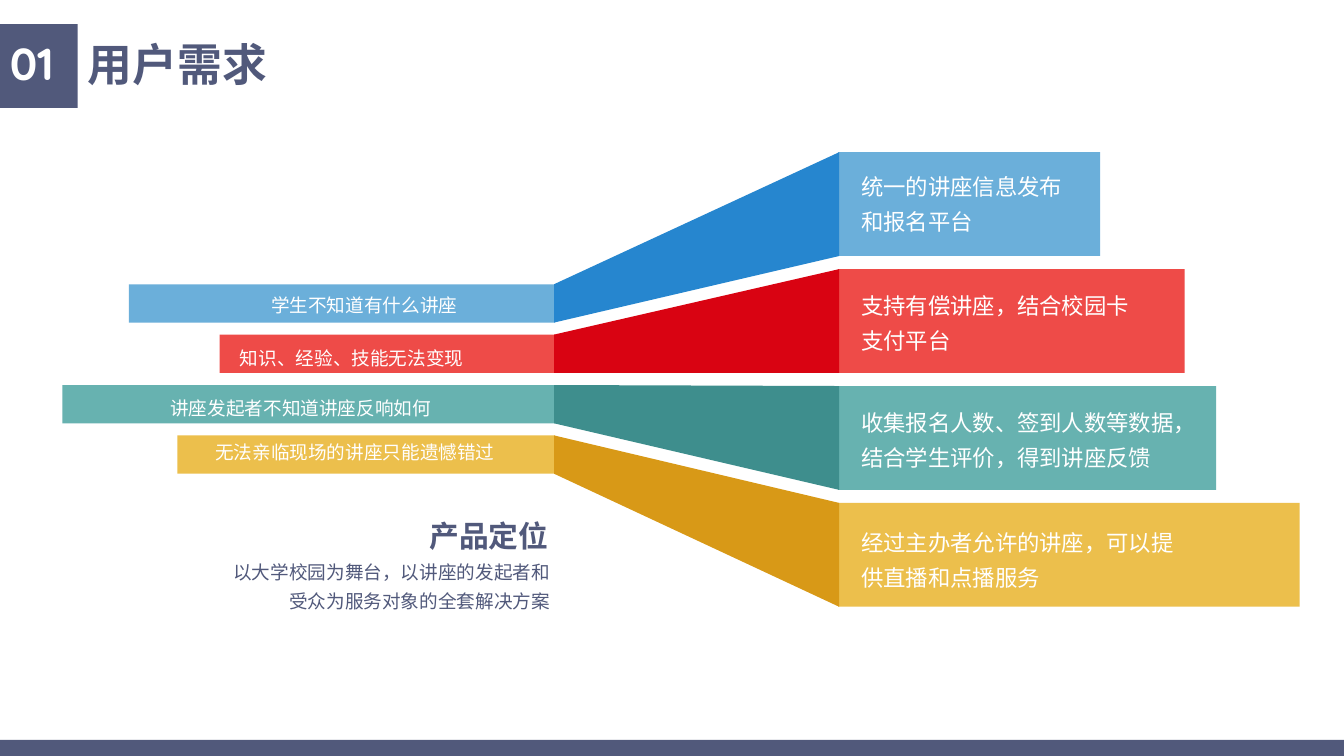
from dataclasses import dataclass

import pptx
import pptx.dml.color
import pptx.enum.shapes
import pptx.enum.text
import pptx.util

RGB = pptx.dml.color.RGBColor
ALIGN = pptx.enum.text.PP_ALIGN

PX = 9144  # EMU per px, 100 px to the inch
FONT = "Quicksand"
WHITE = RGB(0xFF, 0xFF, 0xFF)
NAVY = RGB(0x51, 0x59, 0x7B)
SKY, BLUE = RGB(0x6B, 0xAF, 0xDA), RGB(0x26, 0x86, 0xCF)
CORAL, RED = RGB(0xEE, 0x4B, 0x48), RGB(0xD9, 0x03, 0x12)
MINT, TEAL = RGB(0x67, 0xB2, 0xB0), RGB(0x3E, 0x8E, 0x8D)
YELLOW, AMBER = RGB(0xEC, 0xBF, 0x4C), RGB(0xD8, 0x99, 0x17)

SLIDE_W, SLIDE_H = 1334, 750
NEED_RIGHT, NEED_TOP, NEED_STEP, NEED_H = 551, 282, 50, 38
CARD_LEFT, CARD_TOP, CARD_STEP, CARD_H = 832, 151, 116, 103


@dataclass(frozen=True)
class Box:
    left: int
    top: int
    width: int
    height: int


@dataclass(frozen=True)
class Style:
    size: float
    color: RGB
    bold: bool = False
    align: ALIGN = ALIGN.LEFT
    spacing: float = 1.0
    wrap: bool = True


@dataclass(frozen=True)
class Band:
    """A user need, the card that answers it, and the beam between them."""
    need: str
    need_left: int
    need_text: Box
    answer: str
    card_width: int
    answer_text: Box
    light: RGB
    dark: RGB


HEADING = Style(32, WHITE, bold=True, spacing=0.9, wrap=False)
TITLE = Style(32, NAVY, bold=True, spacing=0.9, wrap=False)
NEED = Style(13.3, WHITE, align=ALIGN.RIGHT, wrap=False)
ANSWER = Style(16, WHITE, spacing=1.3)
POSITION_HEAD = Style(21.3, NAVY, bold=True, align=ALIGN.RIGHT)
POSITION_BODY = Style(13.3, NAVY, align=ALIGN.RIGHT, spacing=1.3)

BANDS = [
    Band("学生不知道有什么讲座", 128, Box(256, 287, 208, 33),
         "统一的讲座信息发布和报名平台", 260, Box(845, 159, 239, 80), SKY, BLUE),
    Band("知识、经验、技能无法变现", 218, Box(225, 339, 245, 33),
         "支持有偿讲座，结合校园卡支付平台", 344, Box(845, 277, 295, 77), CORAL, RED),
    Band("讲座发起者不知道讲座反响如何", 62, Box(155, 389, 283, 33),
         "收集报名人数、签到人数等数据，结合学生评价，得到讲座反馈", 375,
         Box(845, 393, 360, 80), MINT, TEAL),
    Band("无法亲临现场的讲座只能遗憾错过", 176, Box(199, 433, 302, 33),
         "经过主办者允许的讲座，可以提供直播和点播服务", 458,
         Box(845, 512, 330, 80), YELLOW, AMBER),
]


def place(sp, box: Box) -> None:
    sp.left, sp.top = box.left * PX, box.top * PX
    sp.width, sp.height = box.width * PX, box.height * PX


def paint(sp, color: RGB) -> None:
    sp.fill.solid()
    sp.fill.fore_color.rgb = color
    sp.line.fill.background()
    sp.shadow.inherit = False


def write(sp, text: str, style: Style) -> None:
    tf = sp.text_frame
    tf.text = text
    tf.word_wrap = style.wrap
    tf.auto_size = pptx.enum.text.MSO_AUTO_SIZE.SHAPE_TO_FIT_TEXT
    tf.vertical_anchor = pptx.enum.text.MSO_ANCHOR.TOP
    p = tf.paragraphs[0]
    p.alignment = style.align
    p.line_spacing = style.spacing
    p.font.name = FONT
    p.font.size = pptx.util.Pt(style.size)
    p.font.bold = style.bold
    p.font.color.rgb = style.color


def add_rect(s, box: Box, color: RGB) -> None:
    sp = s.shapes.add_shape(pptx.enum.shapes.MSO_SHAPE.RECTANGLE, 0, 0, 0, 0)
    place(sp, box)
    paint(sp, color)


def add_text(s, box: Box, text: str, style: Style) -> None:
    sp = s.shapes.add_textbox(0, 0, 0, 0)
    place(sp, box)
    write(sp, text, style)


def add_beam(s, need_top: int, card_top: int, color: RGB) -> None:
    """Join the right end of a need bar to the left edge of its card."""
    left, right = NEED_RIGHT - 1, CARD_LEFT + 1
    builder = s.shapes.build_freeform(left, need_top, scale=PX)
    builder.add_line_segments([(right, card_top), (right, card_top + CARD_H),
                               (left, need_top + NEED_H)], close=True)
    paint(builder.convert_to_shape(), color)


def add_band(s, i: int, band: Band) -> None:
    need_top = NEED_TOP + i * NEED_STEP
    card_top = CARD_TOP + i * CARD_STEP
    add_rect(s, Box(band.need_left, need_top, NEED_RIGHT - band.need_left, NEED_H), band.light)
    add_rect(s, Box(CARD_LEFT, card_top, band.card_width, CARD_H), band.light)
    add_beam(s, need_top, card_top, band.dark)
    add_text(s, band.need_text, band.need, NEED)
    add_text(s, band.answer_text, band.answer, ANSWER)


def main() -> None:
    prs = pptx.Presentation()
    prs.slide_width, prs.slide_height = SLIDE_W * PX, SLIDE_H * PX
    s = prs.slides.add_slide(prs.slide_layouts.get_by_name("Title Only"))

    place(s.shapes.title, Box(77, 37, 200, 59))
    write(s.shapes.title, "用户需求", TITLE)
    add_rect(s, Box(0, 24, 77, 83), NAVY)
    add_text(s, Box(0, 37, 70, 59), "01", HEADING)
    add_rect(s, Box(0, 734, SLIDE_W, 16), NAVY)

    for i, band in enumerate(BANDS):
        add_band(s, i, band)

    add_text(s, Box(74, 509, 480, 46), "产品定位", POSITION_HEAD)
    add_text(s, Box(213, 545, 343, 68),
             "以大学校园为舞台，以讲座的发起者和受众为服务对象的全套解决方案", POSITION_BODY)
    prs.save("out.pptx")


if __name__ == "__main__":
    main()
